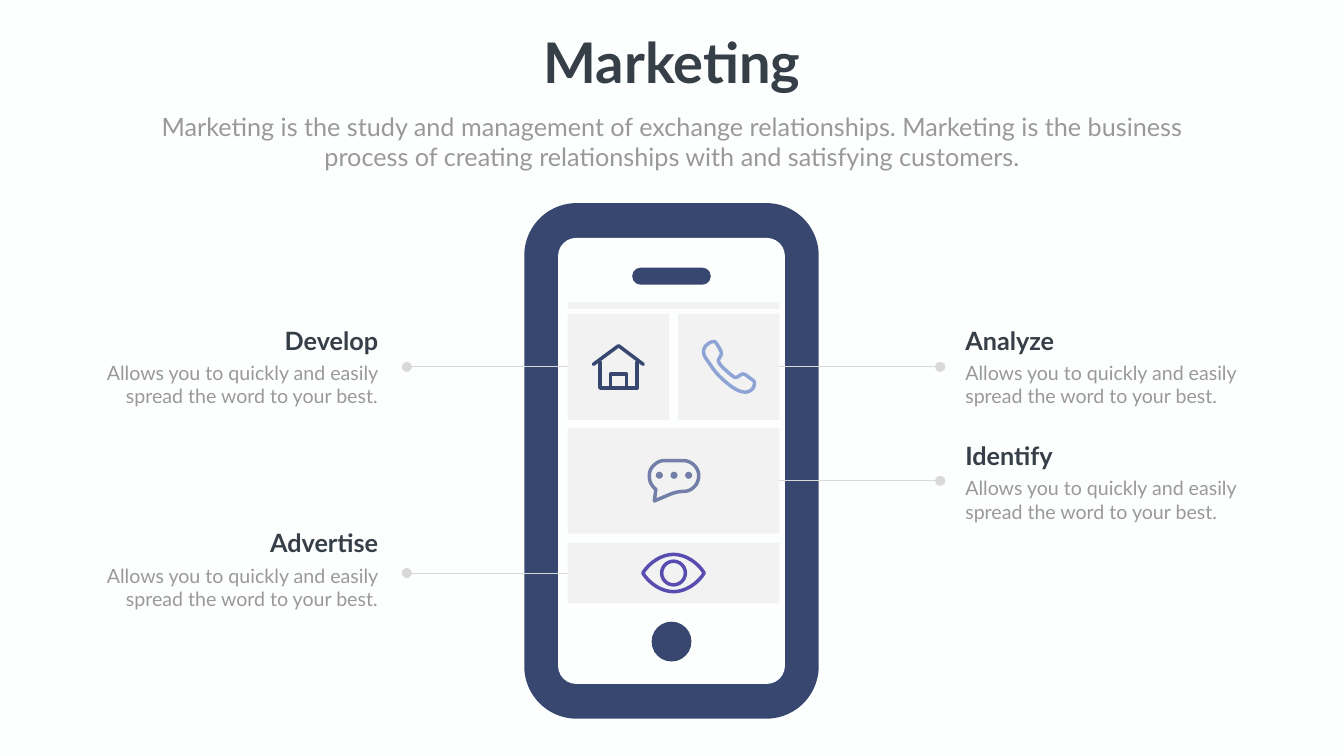
from lxml import etree
from pptx import Presentation
from pptx.dml.color import RGBColor
from pptx.enum import shapes, text
from pptx.oxml import ns
from pptx.util import Inches, Pt

COLORS = {
    "background": "FDFFFE", "navy": "37476F", "tile": "F2F2F2",
    "line": "D9D9D9", "heading": "363E48", "body": "999999",
    "call": "8EA4D5", "chat": "747FA9", "eye": "594CB0",
}
FONT = "Lato"
STROKE = 5
CURVE_STEPS = 8
BODY = "Allows you to quickly and easily spread the word to your best."
CALLOUTS = [
    ("Analyze", "right", 7.28, 6.4),
    ("Develop", "left", 7.28, 6.4),
    ("Advertise", "left", 11.37, 10.42),
    ("Identify", "right", 9.54, 8.69),
]
TILES = [
    (11.26, 6, 4.2, 0.13), (11.26, 6.23, 2.01, 2.1), (13.45, 6.23, 2.01, 2.1),
    (11.26, 8.49, 4.2, 2.1), (11.26, 10.77, 4.2, 1.2),
]
HOUSE = [
    [(11.77, 7.23), (12.27, 6.86), (12.76, 7.23)],
    [(11.9, 7.19), (11.9, 7.7), (12.64, 7.7), (12.64, 7.19)],
    [(12.11, 7.7), (12.11, 7.42), (12.43, 7.42), (12.43, 7.7)],
]
HANDSET = [
    (14.15, 6.78),
    ((14.09, 6.78), (14.02, 6.83), (13.98, 6.89)),
    ((13.93, 6.97), (13.96, 7.06), (14.03, 7.15)),
    ((14.08, 7.22), (14.15, 7.33), (14.22, 7.41)),
    ((14.29, 7.49), (14.4, 7.59), (14.51, 7.67)),
    ((14.58, 7.72), (14.68, 7.78), (14.78, 7.78)),
    ((14.84, 7.78), (14.9, 7.75), (14.93, 7.71)),
    ((14.96, 7.67), (14.97, 7.62), (14.96, 7.57)),
    ((14.95, 7.55), (14.9, 7.52), (14.86, 7.49)),
    ((14.81, 7.45), (14.77, 7.42), (14.74, 7.42)),
    ((14.69, 7.42), (14.63, 7.5), (14.58, 7.49)),
    ((14.54, 7.48), (14.35, 7.31), (14.3, 7.25)),
    ((14.27, 7.21), (14.25, 7.18), (14.25, 7.15)),
    ((14.26, 7.11), (14.31, 7.05), (14.31, 7.01)),
    ((14.31, 6.97), (14.25, 6.87), (14.2, 6.8)),
    ((14.19, 6.78), (14.17, 6.78), (14.15, 6.78)),
]
BUBBLE = [
    (13.56, 9.14),
    ((13.64, 9.14), (13.72, 9.18), (13.77, 9.23)),
    ((13.83, 9.29), (13.86, 9.36), (13.86, 9.44)),
    ((13.86, 9.52), (13.83, 9.6), (13.77, 9.66)),
    ((13.71, 9.72), (13.64, 9.75), (13.56, 9.75)),
    ((13.48, 9.75), (13.39, 9.77), (13.31, 9.8)),
    (12.98, 9.94),
    (13.01, 9.71),
    ((12.97, 9.68), (12.94, 9.64), (12.91, 9.59)),
    ((12.89, 9.54), (12.88, 9.5), (12.88, 9.44)),
    ((12.88, 9.36), (12.91, 9.29), (12.96, 9.24)),
    ((13.02, 9.18), (13.09, 9.14), (13.17, 9.14)),
]
EYE = [
    (12.75, 11.37),
    ((12.89, 11.15), (13.13, 11), (13.36, 11)),
    ((13.59, 11), (13.83, 11.15), (13.97, 11.37)),
    ((13.83, 11.59), (13.59, 11.74), (13.36, 11.74)),
    ((13.13, 11.74), (12.89, 11.59), (12.75, 11.37)),
]


def rgb(name):
    return RGBColor.from_string(COLORS[name])


def fill_shape(sp, color):
    sp.shadow.inherit = False
    sp.fill.solid()
    sp.fill.fore_color.rgb = rgb(color)
    sp.line.fill.background()


def stroke_shape(sp, color):
    sp.shadow.inherit = False
    sp.fill.background()
    sp.line.color.rgb = rgb(color)
    sp.line.width = Pt(STROKE)
    sp.line._get_or_add_ln().set("cap", "rnd")


def add_rect(s, box, color, radius=0):
    kind = shapes.MSO_SHAPE.ROUNDED_RECTANGLE if radius else shapes.MSO_SHAPE.RECTANGLE
    sp = s.shapes.add_shape(kind, *map(Inches, box))
    if radius:
        sp.adjustments[0] = radius / min(box[2:])
    fill_shape(sp, color)


def add_circle(s, x, y, size, color, paint=fill_shape):
    box = (x - size / 2, y - size / 2, size, size)
    sp = s.shapes.add_shape(shapes.MSO_SHAPE.OVAL, *map(Inches, box))
    paint(sp, color)


def flatten(outline):
    points = [outline[0]]
    for step in outline[1:]:
        if len(step) == 2:
            points.append(step)
            continue
        curve = (points[-1], *step)
        for i in range(1, CURVE_STEPS + 1):
            t = i / CURVE_STEPS
            weights = ((1 - t) ** 3, 3 * t * (1 - t) ** 2, 3 * t * t * (1 - t), t ** 3)
            points.append(tuple(sum(w * c[axis] for w, c in zip(weights, curve))
                                for axis in (0, 1)))
    return points


def add_outline(s, outline, color, close=True):
    points = [(Inches(x), Inches(y)) for x, y in flatten(outline)]
    builder = s.shapes.build_freeform(*points[0])
    builder.add_line_segments(points[1:], close=close)
    stroke_shape(builder.convert_to_shape(), color)


def add_text(s, box, content, size, color, align, bold=False, wrap=True):
    tf = s.shapes.add_textbox(*map(Inches, box)).text_frame
    tf.word_wrap = wrap
    tf.text = content
    p = tf.paragraphs[0]
    p.alignment = align
    r = p.runs[0]
    r.font.name, r.font.size, r.font.bold = FONT, Pt(size), bold
    r.font.color.rgb = rgb(color)


def add_callout(s, title, side, line_y, top):
    right = side == "right"
    start, end = (14.45, 18.65) if right else (12.28, 8.07)
    line = s.shapes.add_connector(shapes.MSO_CONNECTOR.STRAIGHT, Inches(start),
                                  Inches(line_y), Inches(end), Inches(line_y))
    line.line.color.rgb = rgb("line")
    line.line.width = Pt(1.28)
    etree.SubElement(line._element.spPr, ns.qn("a:effectLst"))
    add_circle(s, end, line_y, 0.2, "line")
    title_x, body_x = (19.05, 19.05) if right else (4.99, 1.92)
    align = text.PP_ALIGN.LEFT if right else text.PP_ALIGN.RIGHT
    add_text(s, (title_x, top, 2.61, 0.71), title, 36, "heading", align, bold=True)
    add_text(s, (body_x, top + 0.71, 5.67, 1.04), BODY, 28, "body", align)


def add_phone(s):
    add_rect(s, (10.4, 4.03, 5.84, 10.23), "navy", 1.04)
    add_rect(s, (11.07, 4.72, 4.5, 8.85), "background", 0.36)
    add_circle(s, 13.32, 12.73, 0.79, "navy")
    add_rect(s, (12.54, 5.31, 1.56, 0.34), "navy", 0.17)


def add_icons(s):
    for part in HOUSE:
        add_outline(s, part, "navy", close=False)
    add_outline(s, HANDSET, "call")
    add_outline(s, BUBBLE, "chat")
    for i in range(3):
        add_circle(s, 13.08 + 0.29 * i, 9.43, 0.14, "chat")
    add_outline(s, EYE, "eye")
    add_circle(s, 13.36, 11.37, 0.47, "eye", stroke_shape)


def main():
    prs = Presentation()
    prs.slide_width, prs.slide_height = Inches(26.66), Inches(15)
    s = prs.slides.add_slide(prs.slide_layouts[6])
    s.background.fill.solid()
    s.background.fill.fore_color.rgb = rgb("background")
    add_phone(s)
    for callout in CALLOUTS:
        add_callout(s, *callout)
    for tile in TILES:
        add_rect(s, tile, "tile")
    add_icons(s)
    center = text.PP_ALIGN.CENTER
    add_text(s, (10.62, 0.5, 5.43, 1.45), "Marketing", 80, "heading", center,
             bold=True, wrap=False)
    add_text(s, (2.68, 2.15, 21.3, 1.31),
             "Marketing is the study and management of exchange relationships. "
             "Marketing is the business process of creating relationships with "
             "and satisfying customers.", 36, "body", center)
    prs.save("out.pptx")


if __name__ == "__main__":
    main()
